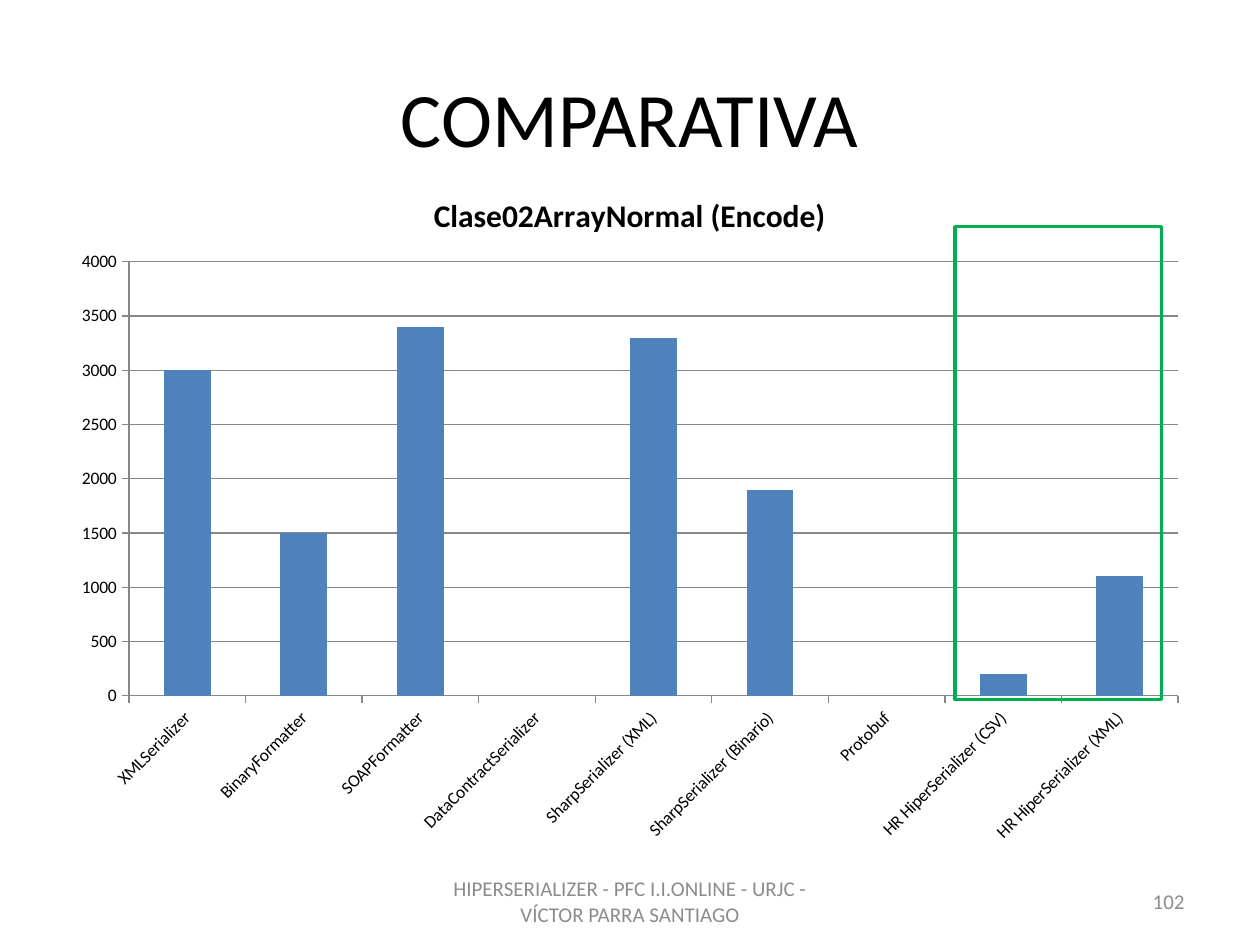
from dataclasses import dataclass

from lxml.etree import SubElement
from pptx import Presentation
from pptx.chart.data import CategoryChartData
from pptx.dml.color import RGBColor
from pptx.enum.chart import XL_CHART_TYPE, XL_TICK_MARK
from pptx.enum.shapes import MSO_SHAPE
from pptx.enum.text import MSO_ANCHOR, PP_ALIGN
from pptx.oxml.ns import qn
from pptx.util import Cm, Pt


@dataclass(frozen=True)
class Theme:
    font: str = "Calibri"
    text: RGBColor = RGBColor(0x00, 0x00, 0x00)
    muted: RGBColor = RGBColor(0x8C, 0x8C, 0x8C)
    grid: RGBColor = RGBColor(0x87, 0x87, 0x87)
    bar: RGBColor = RGBColor(0x4F, 0x81, 0xBD)
    highlight: RGBColor = RGBColor(0x00, 0xB0, 0x50)
    title_size: Pt = Pt(44)
    chart_title_size: Pt = Pt(18)
    footer_size: Pt = Pt(12)
    axis_size: Pt = Pt(10)


theme = Theme()


def style_font(font, size, color, bold=False):
    font.name = theme.font
    font.size = size
    font.bold = bold
    font.color.rgb = color


deck = Presentation()
deck.slide_width, deck.slide_height = Cm(25.4), Cm(19.05)
page = deck.slides.add_slide(deck.slide_layouts[6])

# Title, footer and page number
texts = [
    ("COMPARATIVA", (1.27, 0.76, 22.86, 3.18),
     PP_ALIGN.CENTER, theme.title_size, theme.text),
    ("HIPERSERIALIZER - PFC I.I.ONLINE - URJC - VÍCTOR PARRA SANTIAGO",
     (8.68, 17.66, 8.04, 1.01), PP_ALIGN.CENTER, theme.footer_size, theme.muted),
    ("102", (18.2, 17.66, 5.93, 1.01),
     PP_ALIGN.RIGHT, theme.footer_size, theme.muted),
]
for text, place, alignment, size, color in texts:
    box = page.shapes.add_textbox(*(Cm(length) for length in place))
    box.text_frame.word_wrap = True
    box.text_frame.vertical_anchor = MSO_ANCHOR.MIDDLE
    para = box.text_frame.paragraphs[0]
    para.text = text
    para.alignment = alignment
    style_font(para.runs[0].font, size, color)

# Column chart
results = {
    "XMLSerializer": 3000,
    "BinaryFormatter": 1500,
    "SOAPFormatter": 3400,
    "DataContractSerializer": None,
    "SharpSerializer (XML)": 3300,
    "SharpSerializer (Binario)": 1900,
    "Protobuf": 0,
    "HR HiperSerializer (CSV)": 200,
    "HR HiperSerializer (XML)": 1100,
}
data = CategoryChartData()
data.categories = list(results)
data.add_series("Series 1", list(results.values()))
chart_frame = page.shapes.add_chart(
    XL_CHART_TYPE.COLUMN_CLUSTERED, Cm(1.19), Cm(3.38), Cm(23.01), Cm(13.89), data)
chart = chart_frame.chart
style_font(chart.font, theme.axis_size, theme.text)
chart.has_legend = False
chart.has_title = True
chart_title = chart.chart_title.text_frame
chart_title.text = "Clase02ArrayNormal (Encode)"
style_font(chart_title.paragraphs[0].runs[0].font,
           theme.chart_title_size, theme.text, bold=True)

plot = chart.plots[0]
plot.vary_by_categories = False
plot.gap_width = 150
columns = plot.series[0]
columns.format.fill.solid()
columns.format.fill.fore_color.rgb = theme.bar

# Axes and gridlines
values = chart.value_axis
values.minimum_scale, values.maximum_scale, values.major_unit = 0, 4000, 500
values.has_major_gridlines = True
for axis in (chart.category_axis, values):
    axis.major_tick_mark = XL_TICK_MARK.OUTSIDE
    axis.minor_tick_mark = XL_TICK_MARK.NONE
    style_font(axis.tick_labels.font, theme.axis_size, theme.text)
for part in (chart.category_axis, values, values.major_gridlines):
    part.format.line.color.rgb = theme.grid
    part.format.line.width = Pt(0.75)

# Category labels slanted by 45 degrees
label_body = chart.category_axis._element.find(qn("c:txPr")).find(qn("a:bodyPr"))
label_body.set("rot", str(-45 * 60000))
label_body.set("vert", "horz")

# Fixed plot area, given as fractions of the chart
plot_area = chart._chartSpace.chart.plotArea
layout = plot_area.find(qn("c:layout"))
if layout is None:
    layout = plot_area.makeelement(qn("c:layout"))
    plot_area.insert(0, layout)
manual = SubElement(layout, qn("c:manualLayout"))
for tag, value in [
    ("layoutTarget", "inner"), ("xMode", "edge"), ("yMode", "edge"),
    ("x", Cm(1.41) / chart_frame.width), ("y", Cm(1.9) / chart_frame.height),
    ("w", Cm(21.15) / chart_frame.width), ("h", Cm(8.75) / chart_frame.height),
]:
    SubElement(manual, qn(f"c:{tag}")).set("val", str(value))

# Frame around the HiperSerializer results
frame = page.shapes.add_shape(
    MSO_SHAPE.RECTANGLE, Cm(19.25), Cm(4.57), Cm(4.17), Cm(9.53))
frame.shadow.inherit = False
frame.fill.background()
frame.line.color.rgb = theme.highlight
frame.line.width = Pt(2)

deck.save("out.pptx")
